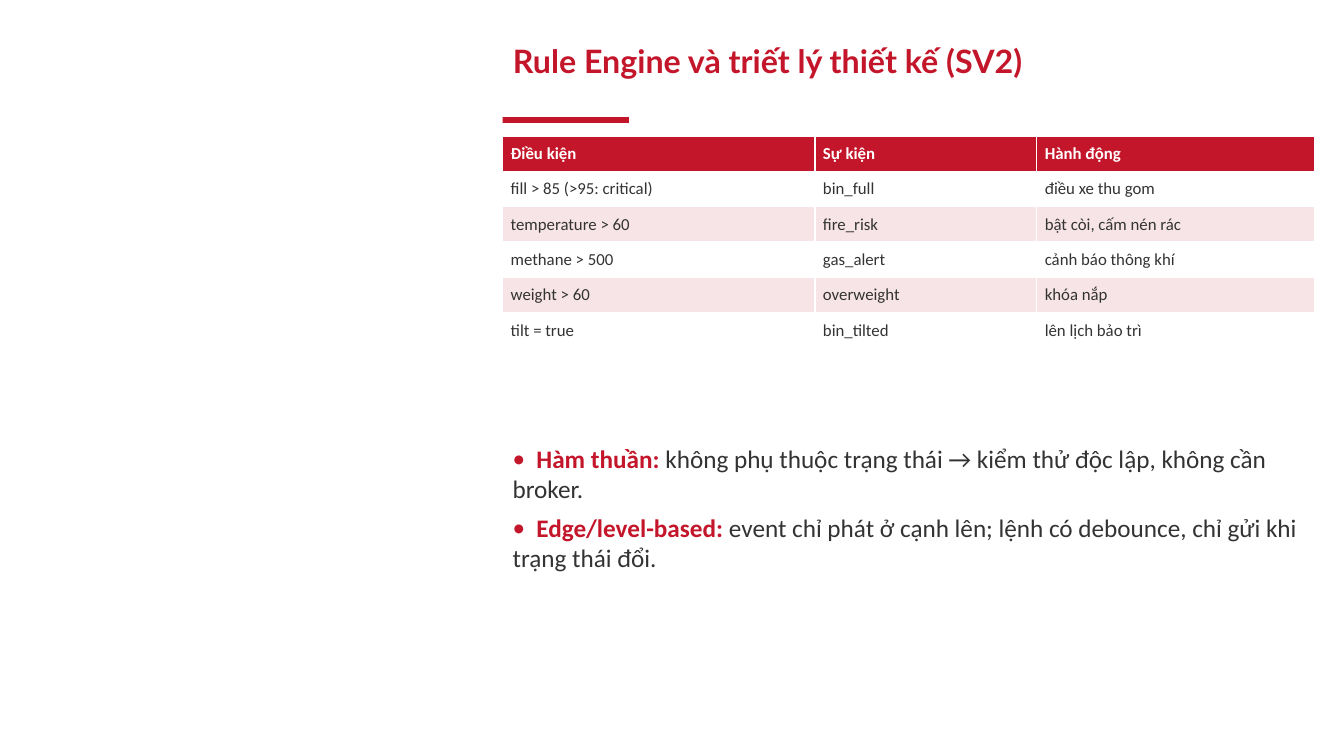
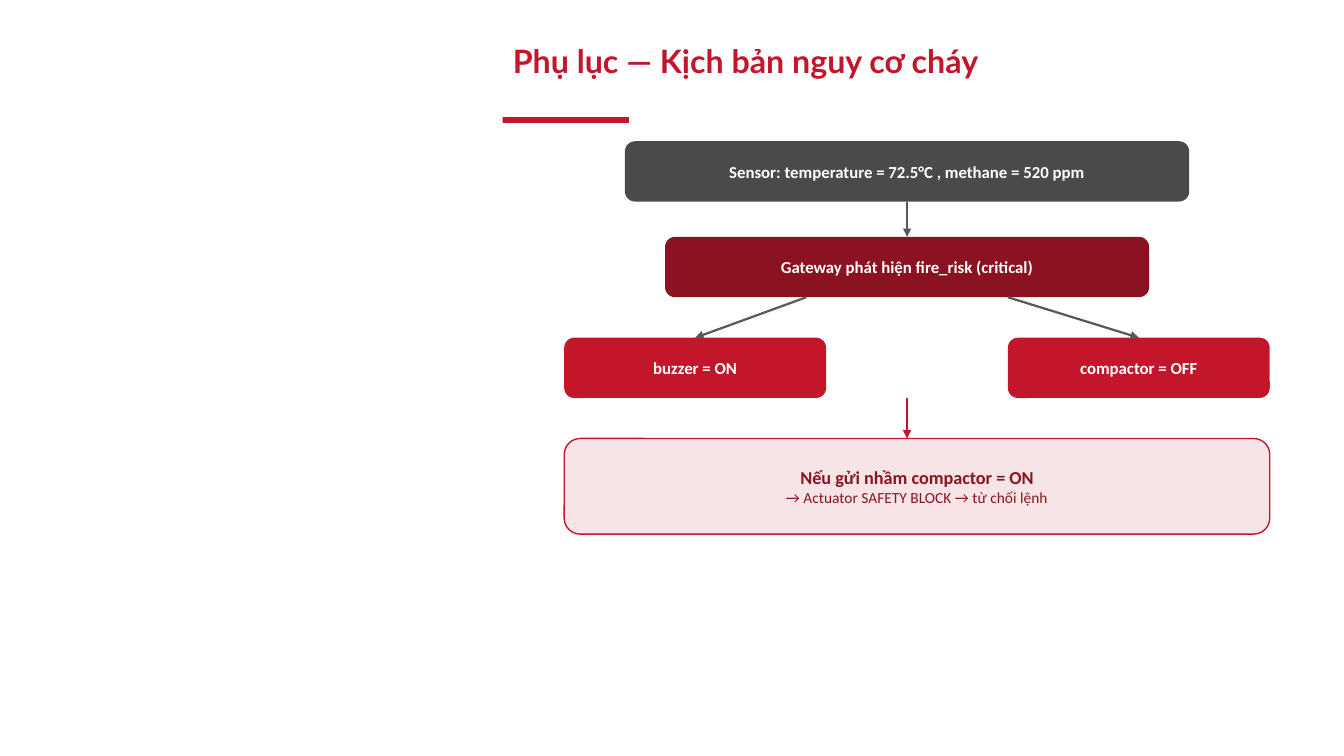
from lxml.etree import SubElement
from pptx import Presentation
from pptx.dml.color import RGBColor
from pptx.enum.shapes import MSO_CONNECTOR, MSO_SHAPE
from pptx.enum.text import MSO_ANCHOR, MSO_AUTO_SIZE, PP_ALIGN
from pptx.oxml.ns import qn
from pptx.util import Cm, Pt

RED = "C4162A"
DARK_RED = "8B1220"
PINK = "F7E4E6"
WHITE = "FFFFFF"
INK = "333333"
CHARCOAL = "4A4A4A"
GREY = "595959"
HEADING_FONT = "Lato"
BODY_FONT = "Calibri"

CONTENT_LEFT = 12.67
CONTENT_WIDTH = 20.45
BOX_HEIGHT = 1.52
AXIS = 22.86
TOP, BOTTOM = 0, 2

RULES = [
    ("Điều kiện", "Sự kiện", "Hành động"),
    ("fill > 85 (>95: critical)", "bin_full", "điều xe thu gom"),
    ("temperature > 60", "fire_risk", "bật còi, cấm nén rác"),
    ("methane > 500", "gas_alert", "cảnh báo thông khí"),
    ("weight > 60", "overweight", "khóa nắp"),
    ("tilt = true", "bin_tilted", "lên lịch bảo trì"),
]
PRINCIPLES = [
    ("Hàm thuần: ", "không phụ thuộc trạng thái → kiểm thử độc lập, không cần broker."),
    ("Edge/level-based: ",
     "event chỉ phát ở cạnh lên; lệnh có debounce, chỉ gửi khi trạng thái đổi."),
]


def color(value):
    return RGBColor.from_string(value)


def style_font(font, size, value, bold=False, name=BODY_FONT):
    font.size = Pt(size)
    font.name = name
    font.bold = bold
    font.color.rgb = color(value)


def set_margins(target, horizontal, vertical):
    target.margin_left = target.margin_right = Cm(horizontal)
    target.margin_top = target.margin_bottom = Cm(vertical)


def add_block(page, kind, left, top, width, height, fill, outline=None):
    block = page.shapes.add_shape(kind, Cm(left), Cm(top), Cm(width), Cm(height))
    block.shadow.inherit = False
    block.fill.solid()
    block.fill.fore_color.rgb = color(fill)
    if outline:
        block.line.color.rgb = color(outline)
        block.line.width = Pt(1)
    else:
        block.line.fill.background()
    return block


def add_page(deck, heading):
    page = deck.slides.add_slide(deck.slide_layouts[5])
    title = page.shapes.title
    title.left, title.top = Cm(CONTENT_LEFT), Cm(1.02)
    title.width, title.height = Cm(CONTENT_WIDTH), Cm(2.03)
    frame = title.text_frame
    frame.text = heading
    frame.word_wrap = True
    frame.auto_size = MSO_AUTO_SIZE.NONE
    frame.vertical_anchor = MSO_ANCHOR.TOP
    para = frame.paragraphs[0]
    para.alignment = PP_ALIGN.LEFT
    para.line_spacing = 0.9
    style_font(para.runs[0].font, 23, RED, True, HEADING_FONT)
    add_block(page, MSO_SHAPE.RECTANGLE, CONTENT_LEFT, 2.95, 3.18, 0.15, RED)
    return page


def add_rule_table(page, top, widths, row_height, rows):
    frame = page.shapes.add_table(
        len(rows), len(widths), Cm(CONTENT_LEFT), Cm(top),
        Cm(sum(widths)), Cm(row_height * len(rows)))
    table = frame.table
    for column, width in zip(table.columns, widths):
        column.width = Cm(width)
    for index, values in enumerate(rows):
        header = index == 0
        table.rows[index].height = Cm(row_height)
        fill = RED if header else WHITE if index % 2 else PINK
        for cell, value in zip(table.rows[index].cells, values):
            cell.text_frame.text = value
            cell.vertical_anchor = MSO_ANCHOR.MIDDLE
            set_margins(cell, 0.2, 0.08)
            cell.fill.solid()
            cell.fill.fore_color.rgb = color(fill)
            span = cell.text_frame.paragraphs[0].runs[0]
            style_font(span.font, 12, WHITE if header else INK, header)


def add_bullet(para, tab):
    properties = para._p.get_or_add_pPr()
    properties.set("marL", "0")
    properties.set("indent", "0")
    bullet_color = SubElement(properties, qn("a:buClr"))
    SubElement(bullet_color, qn("a:srgbClr"), val=RED)
    SubElement(properties, qn("a:buFont"), typeface=BODY_FONT)
    SubElement(properties, qn("a:buChar"), char="•")
    tabs = SubElement(properties, qn("a:tabLst"))
    SubElement(tabs, qn("a:tab"), pos=str(Cm(tab)), algn="l")


def add_bullet_list(page, top, height, items):
    box = page.shapes.add_textbox(
        Cm(CONTENT_LEFT), Cm(top), Cm(CONTENT_WIDTH), Cm(height))
    frame = box.text_frame
    frame.word_wrap = True
    for index, (term, detail) in enumerate(items):
        para = frame.add_paragraph() if index else frame.paragraphs[0]
        add_bullet(para, 0.6)
        para.space_after = Pt(6)
        for text, value, bold in (("\t" + term, RED, True), (detail, INK, False)):
            span = para.add_run()
            span.text = text
            style_font(span.font, 18, value, bold)


def add_step(page, left, top, width, height, fill, lines, outline=None):
    step = add_block(page, MSO_SHAPE.ROUNDED_RECTANGLE,
                     left, top, width, height, fill, outline)
    frame = step.text_frame
    frame.word_wrap = True
    frame.vertical_anchor = MSO_ANCHOR.MIDDLE
    set_margins(frame, 0.1, 0.08)
    frame.text = "\n".join(text for text, *_ in lines)
    for para, (_, size, value, bold) in zip(frame.paragraphs, lines):
        para.alignment = PP_ALIGN.CENTER
        style_font(para.runs[0].font, size, value, bold)
    return step


def add_solid_step(page, left, top, width, fill, text):
    return add_step(page, left, top, width, BOX_HEIGHT, fill,
                    [(text, 12, WHITE, True)])


def add_arrow(page, start, end, value, source=None, target=None):
    arrow = page.shapes.add_connector(
        MSO_CONNECTOR.STRAIGHT, *(Cm(length) for length in start + end))
    if source:
        arrow.begin_connect(source, BOTTOM)
    if target:
        arrow.end_connect(target, TOP)
    arrow.line.color.rgb = color(value)
    arrow.line.width = Pt(1.6)
    SubElement(arrow.line._get_or_add_ln(), qn("a:tailEnd"), type="triangle")
    SubElement(arrow._element.spPr, qn("a:effectLst"))


def add_rule_engine(deck):
    page = add_page(deck, "Rule Engine và triết lý thiết kế (SV2)")
    add_rule_table(page, 3.43, (7.87, 5.59, 6.99), 0.89, RULES)
    add_bullet_list(page, 11.05, 6.6, PRINCIPLES)


def add_fire_scenario(deck):
    page = add_page(deck, "Phụ lục — Kịch bản nguy cơ cháy")
    sensor = add_solid_step(page, 15.75, 3.56, 14.22, CHARCOAL,
                            "Sensor: temperature = 72.5°C , methane = 520 ppm")
    gateway = add_solid_step(page, 16.76, 5.97, 12.2, DARK_RED,
                             "Gateway phát hiện fire_risk (critical)")
    add_arrow(page, (AXIS, 5.08), (AXIS, 5.97), GREY, sensor, gateway)
    commands = [(14.22, -2.54, "buzzer = ON"), (25.4, 2.54, "compactor = OFF")]
    for left, offset, text in commands:
        command = add_solid_step(page, left, 8.51, 6.6, RED, text)
        add_arrow(page, (AXIS + offset, 7.49), (left + 3.3, 8.51), GREY,
                  target=command)
    add_arrow(page, (AXIS, 10.03), (AXIS, 11.05), RED)
    add_step(page, 14.22, 11.05, 17.78, 2.41, PINK, [
        ("Nếu gửi nhầm compactor = ON", 13, DARK_RED, True),
        ("→ Actuator SAFETY BLOCK → từ chối lệnh", 11, DARK_RED, False),
    ], RED)


def main():
    deck = Presentation()
    deck.slide_width, deck.slide_height = Cm(33.87), Cm(19.05)
    add_rule_engine(deck)
    add_fire_scenario(deck)
    deck.save("out.pptx")


if __name__ == "__main__":
    main()
